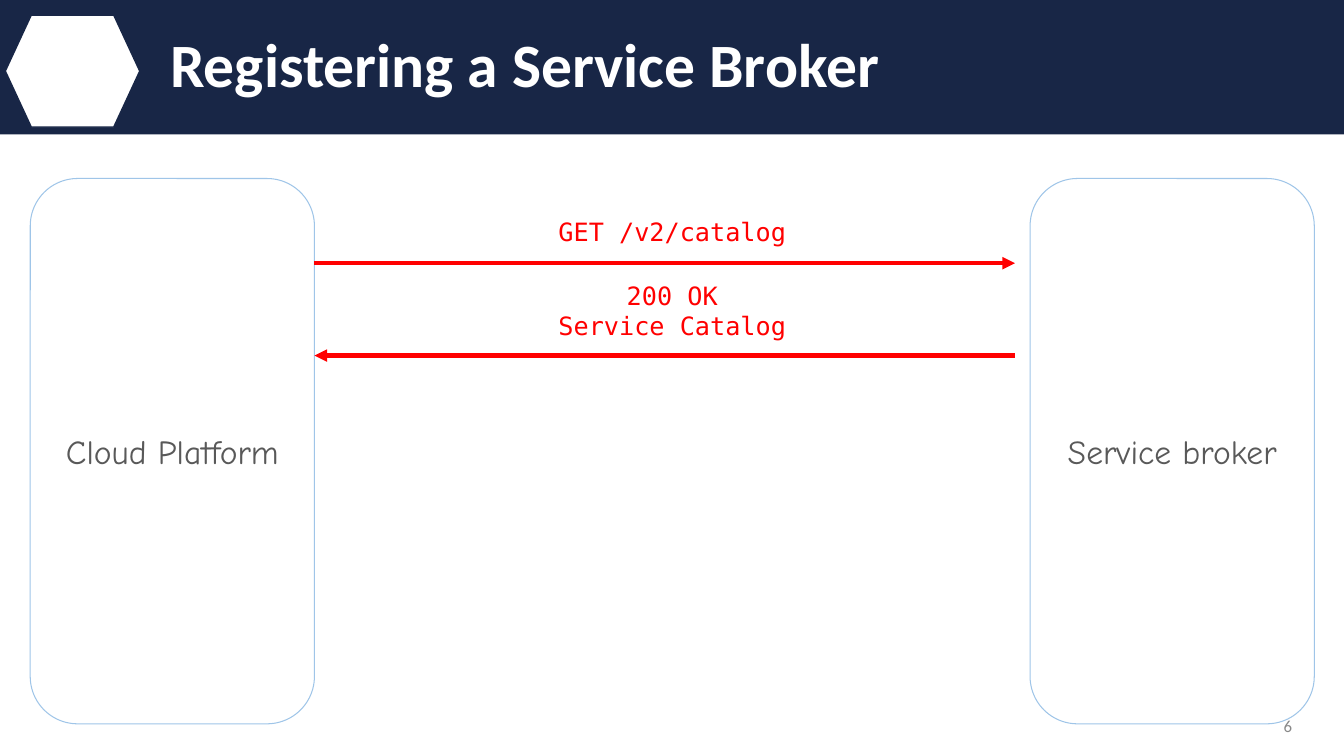
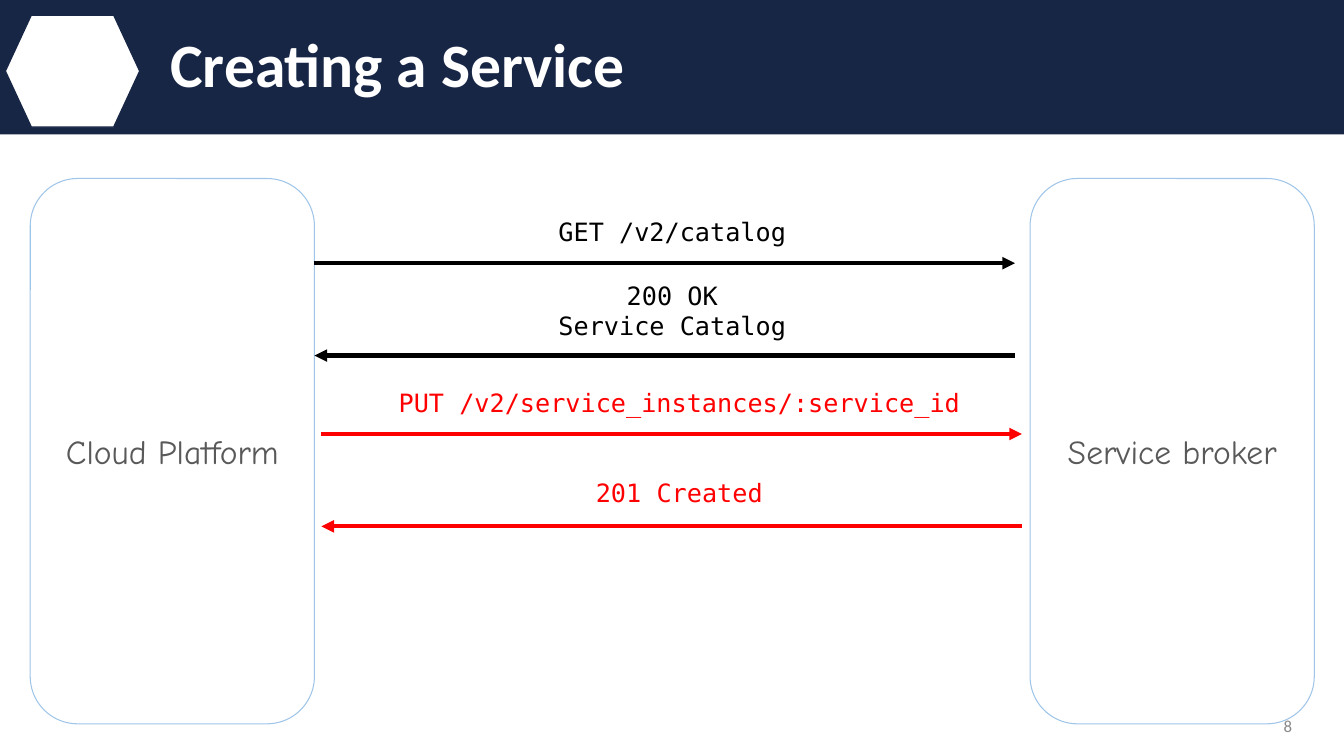
"""Build two slides on the calls between a cloud platform and a service broker."""
from dataclasses import dataclass

from lxml.etree import SubElement
from pptx import Presentation
from pptx.dml.color import RGBColor
from pptx.enum.shapes import MSO_CONNECTOR, MSO_SHAPE
from pptx.enum.text import MSO_ANCHOR, PP_ALIGN
from pptx.oxml.ns import qn
from pptx.util import Pt


@dataclass(frozen=True)
class Theme:
    navy: str = "182646"
    white: str = "FFFFFF"
    outline: str = "9FC5E8"
    party: str = "595959"
    number: str = "888888"
    new: str = "FF0000"
    known: str = "000000"
    title_font: str = "Calibri"
    party_font: str = "Comic Neue"
    code_font: str = "DejaVu Sans Mono"
    title_size: int = 44
    party_size: int = 24
    code_size: int = 18
    number_size: int = 12


theme = Theme()


def add_panel(slide, kind, box, fill, line=None, width=1):
    panel = slide.shapes.add_shape(kind, *map(Pt, box))
    panel.shadow.inherit = False
    panel.fill.solid()
    panel.fill.fore_color.rgb = RGBColor.from_string(fill)
    if line:
        panel.line.color.rgb = RGBColor.from_string(line)
        panel.line.width = Pt(width)
    else:
        panel.line.fill.background()
    return panel


def write(shape, text, font, size, color, align, anchor=MSO_ANCHOR.MIDDLE, inset=7.2, bold=False):
    frame = shape.text_frame
    frame.text = text
    frame.word_wrap = True
    frame.vertical_anchor = anchor
    frame.margin_left = frame.margin_right = Pt(7.2)
    frame.margin_top = frame.margin_bottom = Pt(inset)
    for paragraph in frame.paragraphs:
        paragraph.alignment = align
        for run in paragraph.runs:
            run.font.name = font
            run.font.size = Pt(size)
            run.font.bold = bold
            run.font.color.rgb = RGBColor.from_string(color)
    return frame


party_top, party_width, party_height = 127.5, 203, 389.5
platform_left, broker_left = 21.6, 735.8
platform_edge = platform_left + party_width
arrow_length = 500.4
parties = [("Cloud Platform", platform_left), ("Service broker", broker_left)]

catalog_calls = [
    ("GET /v2/catalog", 147, 188, True, 0),
    ("200 OK\vService Catalog", 193, 254, False, 0),
]
create_calls = [
    ("PUT /v2/service_instances/:service_id", 269.3, 310, True, 5),
    ("201 Created", 333.5, 376, False, 5),
]
pages = [
    ("Registering a Service Broker", "6", [(theme.new, catalog_calls)]),
    ("Creating a Service", "8", [(theme.known, catalog_calls), (theme.new, create_calls)]),
]

deck = Presentation()
deck.slide_width, deck.slide_height = Pt(960), Pt(540)

for heading, number, stages in pages:
    slide = deck.slides.add_slide(deck.slide_layouts[6])

    add_panel(slide, MSO_SHAPE.RECTANGLE, (0, 0, 960, 96), theme.navy)
    badge = add_panel(slide, MSO_SHAPE.HEXAGON, (3.8, 10.8, 96, 80), theme.white, theme.navy)
    badge.adjustments[0] = 0.232

    title = slide.shapes.add_textbox(Pt(114.5), Pt(0), Pt(845.5), Pt(96))
    title_frame = write(title, heading, theme.title_font, theme.title_size, theme.white,
                        PP_ALIGN.LEFT, inset=3.6, bold=True)
    title_frame.paragraphs[0].line_spacing = 0.9

    page_number = slide.shapes.add_textbox(Pt(714), Pt(504), Pt(216), Pt(28.8))
    write(page_number, number, theme.title_font, theme.number_size, theme.number,
          PP_ALIGN.RIGHT, inset=3.6)

    for name, left in parties:
        party = add_panel(slide, MSO_SHAPE.ROUNDED_RECTANGLE,
                          (left, party_top, party_width, party_height),
                          theme.white, theme.outline, 0.75)
        write(party, name, theme.party_font, theme.party_size, theme.party, PP_ALIGN.CENTER)

    for color, calls in stages:
        for message, label_top, arrow_y, is_request, shift in calls:
            start = platform_edge + shift
            end = start + arrow_length
            if not is_request:
                start, end = end, start
            arrow = slide.shapes.add_connector(
                MSO_CONNECTOR.STRAIGHT, Pt(start), Pt(arrow_y), Pt(end), Pt(arrow_y))
            arrow.line.color.rgb = RGBColor.from_string(color)
            arrow.line.width = Pt(3)
            SubElement(arrow.line._get_or_add_ln(), qn("a:tailEnd"), type="triangle")
            SubElement(arrow._element.spPr, qn("a:effectLst"))

            label_height = 36.7 + 19.5 * message.count("\v")
            label = slide.shapes.add_textbox(
                Pt(platform_edge + shift), Pt(label_top),
                Pt(broker_left - platform_edge), Pt(label_height))
            write(label, message, theme.code_font, theme.code_size, color,
                  PP_ALIGN.CENTER, MSO_ANCHOR.TOP)

deck.save("out.pptx")
